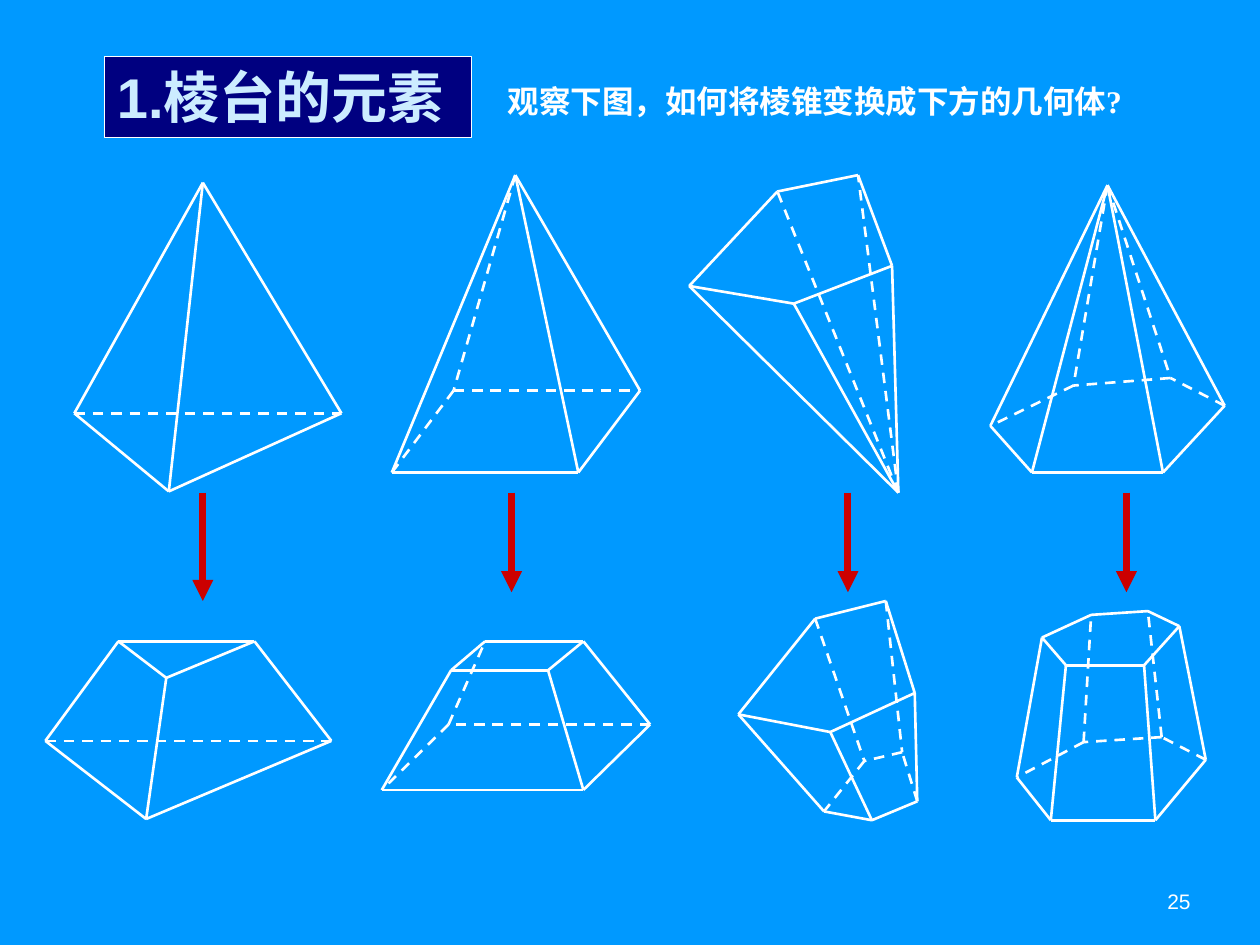
from dataclasses import dataclass

from lxml.etree import SubElement
from pptx import Presentation
from pptx.dml.color import RGBColor as RGB
from pptx.enum.dml import MSO_LINE_DASH_STYLE as Dash
from pptx.enum.shapes import MSO_CONNECTOR_TYPE as Link, MSO_SHAPE as Shape
from pptx.enum.text import MSO_ANCHOR as Anchor, PP_ALIGN as Align
from pptx.oxml.ns import qn
from pptx.util import Inches, Pt

Point = tuple[float, float]


@dataclass(frozen=True)
class Theme:
    back: RGB = RGB(0x00, 0x99, 0xFF)
    white: RGB = RGB(0xFF, 0xFF, 0xFF)
    navy: RGB = RGB(0x00, 0x00, 0x80)
    pale: RGB = RGB(0xCC, 0xEC, 0xFF)
    red: RGB = RGB(0xCC, 0x00, 0x00)
    sans: str = "Arial"
    serif: str = "Times New Roman"
    title: float = 32
    body: float = 18
    small: float = 12
    edge: float = 1.5
    arrow: float = 4
    frame: float = 0.75


@dataclass(frozen=True)
class Solid:
    """Named corners, with visible and hidden edges as corner pairs."""
    points: dict[str, Point]
    seen: str
    hidden: str


@dataclass(frozen=True)
class Arrow:
    x: float
    end: float


THEME = Theme()
ARROW_TOP = 3.91

# P is an apex; A to E are base corners, and a to e the corners of the cut face.
SOLIDS = [
    Solid({"P": (1.61, 1.45), "A": (0.59, 3.28), "B": (1.34, 3.9),
           "C": (2.71, 3.28)},
          "AB BC PA PB PC", "AC"),
    Solid({"P": (4.09, 1.39), "A": (3.11, 3.75), "B": (4.59, 3.75),
           "C": (5.08, 3.1), "D": (3.6, 3.1)},
          "PA PB PC AB BC", "PD DC DA"),
    Solid({"P": (7.13, 3.91), "A": (5.47, 2.27), "B": (6.3, 2.41),
           "C": (7.08, 2.11), "D": (6.81, 1.39), "E": (6.17, 1.52)},
          "AB BC CD DE EA PA PB PC", "PD PE"),
    Solid({"P": (8.79, 1.47), "A": (7.86, 3.38), "B": (8.19, 3.75),
           "C": (9.23, 3.75), "D": (9.72, 3.22), "E": (9.29, 3.0),
           "F": (8.52, 3.06)},
          "AB BC CD PA PB PC PD", "DE EF FA PE PF"),
    Solid({"A": (0.36, 5.88), "B": (1.16, 6.5), "C": (2.63, 5.88),
           "a": (0.94, 5.09), "b": (1.32, 5.38), "c": (2.02, 5.09)},
          "AB BC ab bc ca Aa Bb Cc", "AC"),
    Solid({"A": (3.03, 6.27), "B": (4.63, 6.27), "C": (5.16, 5.75),
           "D": (3.56, 5.75), "a": (3.58, 5.32), "b": (4.35, 5.32),
           "c": (4.63, 5.09), "d": (3.85, 5.09)},
          "AB BC ab bc cd da Aa Bb Cc", "CD DA Dd"),
    Solid({"A": (5.86, 5.67), "B": (6.59, 5.81), "C": (7.26, 5.5),
           "D": (7.03, 4.77), "E": (6.47, 4.91), "a": (6.54, 6.44),
           "b": (6.92, 6.51), "c": (7.28, 6.36), "d": (7.16, 5.97),
           "e": (6.86, 6.04)},
          "AB BC CD DE EA ab bc Aa Bb Cc", "cd de ea Dd Ee"),
    Solid({"A": (8.07, 6.17), "B": (8.34, 6.51), "C": (9.17, 6.51),
           "D": (9.57, 6.03), "E": (9.22, 5.85), "F": (8.6, 5.89),
           "a": (8.27, 5.06), "b": (8.46, 5.28), "c": (9.08, 5.28),
           "d": (9.36, 4.97), "e": (9.11, 4.85), "f": (8.66, 4.88)},
          "AB BC CD ab bc cd de ef fa Aa Bb Cc Dd", "DE EF FA Ee Ff"),
]

ARROWS = [Arrow(1.61, 4.77), Arrow(4.06, 4.7), Arrow(6.73, 4.7), Arrow(8.94, 4.7)]


def add_line(shapes, start: Point, end: Point, color: RGB, width: float):
    ends = [Inches(n) for n in (*start, *end)]
    line = shapes.add_connector(Link.STRAIGHT, *ends)
    line.line.color.rgb = color
    line.line.width = Pt(width)
    SubElement(line._element.spPr, qn("a:effectLst"))
    return line


def draw_solid(slide, solid: Solid) -> None:
    group = slide.shapes.add_group_shape()
    for pairs, dash in ((solid.seen, None), (solid.hidden, Dash.DASH)):
        for start, end in pairs.split():
            line = add_line(group.shapes, solid.points[start], solid.points[end],
                            THEME.white, THEME.edge)
            if dash:
                line.line.dash_style = dash


def draw_arrow(slide, arrow: Arrow) -> None:
    line = add_line(slide.shapes, (arrow.x, ARROW_TOP), (arrow.x, arrow.end),
                    THEME.red, THEME.arrow)
    SubElement(line.line._get_or_add_ln(), qn("a:tailEnd"), type="triangle")


def style(run, size: float, color: RGB, bold: bool = False,
          face: str = THEME.sans) -> None:
    run.font.name = face
    run.font.size = Pt(size)
    run.font.bold = bold
    run.font.color.rgb = color


def add_box(slide, left: float, top: float, width: float, height: float):
    return slide.shapes.add_textbox(*map(Inches, (left, top, width, height)))


def draw_title(slide) -> None:
    box = slide.shapes.add_shape(
        Shape.RECTANGLE, *map(Inches, (0.83, 0.45, 2.91, 0.64)))
    box.shadow.inherit = False
    box.fill.solid()
    box.fill.fore_color.rgb = THEME.navy
    box.line.color.rgb = THEME.white
    box.line.width = Pt(THEME.frame)
    frame = box.text_frame
    frame.text = "1.棱台的元素"
    frame.vertical_anchor = Anchor.TOP
    line = frame.paragraphs[0]
    line.alignment = Align.LEFT
    style(line.runs[0], THEME.title, THEME.pale, True)


def draw_question(slide) -> None:
    frame = add_box(slide, 3.93, 0.6, 5.13, 0.4).text_frame
    frame.word_wrap = False
    parts = [("观察下图", THEME.sans), ("，", THEME.serif),
             ("如何将棱锥变换成下方的几何体", THEME.sans), ("?", THEME.serif)]
    for text, face in parts:
        run = frame.paragraphs[0].add_run()
        run.text = text
        style(run, THEME.body, THEME.white, True, face)


def draw_number(slide) -> None:
    frame = add_box(slide, 7.17, 6.95, 2.33, 0.4).text_frame
    frame.word_wrap = True
    frame.margin_left = frame.margin_right = Inches(0.05)
    frame.vertical_anchor = Anchor.MIDDLE
    frame.text = "25"
    line = frame.paragraphs[0]
    line.alignment = Align.RIGHT
    style(line.runs[0], THEME.small, THEME.white)


def main() -> None:
    deck = Presentation()
    deck.slide_width, deck.slide_height = Inches(10), Inches(7.5)
    slide = deck.slides.add_slide(deck.slide_layouts[6])
    slide.background.fill.solid()
    slide.background.fill.fore_color.rgb = THEME.back
    draw_number(slide)
    draw_title(slide)
    draw_question(slide)
    for solid in SOLIDS:
        draw_solid(slide, solid)
    for arrow in ARROWS:
        draw_arrow(slide, arrow)
    deck.save("out.pptx")


if __name__ == "__main__":
    main()
